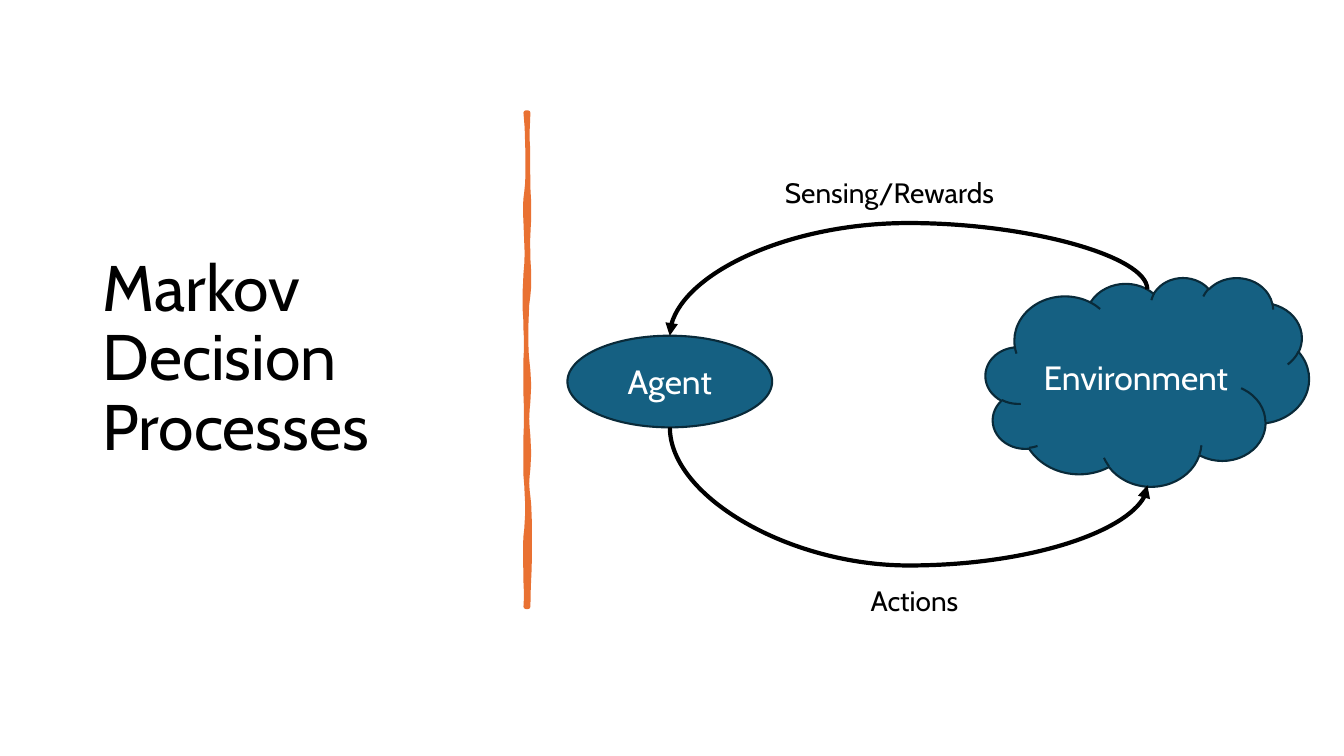
from lxml import etree
from pptx import Presentation
from pptx.dml.color import RGBColor
from pptx.enum.shapes import MSO_CONNECTOR, MSO_SHAPE
from pptx.enum.text import MSO_ANCHOR, PP_ALIGN
from pptx.oxml.ns import qn
from pptx.util import Cm, Pt

CURVE = MSO_CONNECTOR.CURVE
ELLIPSE, CLOUD = MSO_SHAPE.OVAL, MSO_SHAPE.CLOUD
MIDDLE = MSO_ANCHOR.MIDDLE
LEFT, CENTER = PP_ALIGN.LEFT, PP_ALIGN.CENTER
FONT = "Cabin"
COLORS = {"text": "000000", "light": "FFFFFF", "rule": "E97132",
          "node": "156082", "outline": "092A39", "arrow": "000000"}

# Connection sites as each preset numbers them
AGENT_TOP, AGENT_BOTTOM = 0, 4
CLOUD_TOP, CLOUD_BOTTOM = 3, 1

# Hand-drawn rule: cubic curves (two controls, end) in 1/100 inch
RULE_START = (1, 0)
RULE_CURVES = [
    ((0, 30), (1, 37), (1, 65)), ((2, 94), (3, 95), (1, 121)),
    ((0, 147), (4, 157), (1, 181)), ((-2, 205), (-1, 238), (1, 256)),
    ((4, 274), (-2, 298), (1, 321)), ((4, 344), (-2, 364), (1, 381)),
    ((4, 399), (3, 439), (1, 490)), ((0, 490), (0, 490), (-1, 490)),
    ((0, 472), (-3, 441), (-1, 420)), ((1, 400), (1, 388), (-1, 360)),
    ((-2, 332), (0, 310), (-1, 280)), ((-2, 251), (0, 235), (-1, 215)),
    ((-2, 195), (-3, 185), (-1, 160)), ((2, 135), (-3, 100), (-1, 85)),
    ((1, 70), (2, 40), (-1, 0)),
]
STEPS = 8
UNITS = 2.54  # 1/100 cm in 1/100 inch


def color(name):
    return RGBColor.from_string(COLORS[name])


def write(frame, text, size, ink, align=LEFT):
    frame.text = text
    para = frame.paragraphs[0]
    para.alignment = align
    font = para.runs[0].font
    font.name, font.size = FONT, Pt(size)
    font.color.rgb = color(ink)
    return para


def paint(shape, fill, line, width):
    shape.shadow.inherit = False
    shape.fill.solid()
    shape.fill.fore_color.rgb = color(fill)
    shape.line.color.rgb = color(line)
    shape.line.width = Pt(width)


def add_title(page, left, top, width, height):
    box = page.shapes.add_textbox(Cm(left), Cm(top), Cm(width), Cm(height))
    frame = box.text_frame
    frame.word_wrap = True
    frame.vertical_anchor = MIDDLE
    write(frame, "Markov Decision Processes", 46, "text").line_spacing = 0.9


def add_rule(page, center, top):
    points, start = [], RULE_START
    for curve in RULE_CURVES:
        for step in range(1, STEPS + 1):
            t = step / STEPS
            weights = ((1 - t) ** 3, 3 * t * (1 - t) ** 2, 3 * t * t * (1 - t), t ** 3)
            knots = (start, *curve)
            points.append(tuple(UNITS * sum(w * knot[axis] for w, knot in zip(weights, knots))
                                for axis in (0, 1)))
        start = curve[-1]
    builder = page.shapes.build_freeform(
        *(UNITS * value for value in RULE_START), scale=float(Cm(0.01)))
    builder.add_line_segments(points, close=True)
    paint(builder.convert_to_shape(Cm(center), Cm(top)), "rule", "rule", 3.25)


def add_node(page, kind, text, left, top, width, height):
    node = page.shapes.add_shape(kind, Cm(left), Cm(top), Cm(width), Cm(height))
    paint(node, "node", "outline", 1.5)
    node.text_frame.vertical_anchor = MIDDLE
    write(node.text_frame, text, 24, "light", CENTER)
    return node


def add_label(page, text, left, top, width):
    box = page.shapes.add_textbox(Cm(left), Cm(top), Cm(width), Cm(1.11))
    box.text_frame.word_wrap = False
    write(box.text_frame, text, 20, "text")


def add_arc(page, source, target, start, end, peak):
    """Curved arrow that leaves and arrives vertically, turning at height peak."""
    center_x, center_y = (start[0] + end[0]) / 2, (start[1] + end[1]) / 2
    # Undo the quarter turn to get the unrotated corners
    corners = [int(value) for x, y in (start, end)
               for value in (center_x - (y - center_y), center_y + (x - center_x))]
    arc = page.shapes.add_connector(CURVE, *corners)
    arc.line.color.rgb = color("arrow")
    arc.line.width = Pt(3)
    properties = arc._element.spPr
    properties.find(qn("a:xfrm")).set("rot", str(270 * 60000))
    bend = round(100000 * (peak - start[1]) / (end[1] - start[1]))
    guides = properties.find(qn("a:prstGeom")).find(qn("a:avLst"))
    etree.SubElement(guides, qn("a:gd"), name="adj1", fmla=f"val {bend}")
    etree.SubElement(properties.find(qn("a:ln")), qn("a:tailEnd"), type="triangle")
    etree.SubElement(properties, qn("a:effectLst"))
    # Join both ends to their nodes
    joints = arc._element.nvCxnSpPr.cNvCxnSpPr
    for tag, (node, site) in (("a:stCxn", source), ("a:endCxn", target)):
        etree.SubElement(joints, qn(tag), id=str(node.shape_id), idx=str(site))


def add_loop(page, left, top):
    agent = add_node(page, ELLIPSE, "Agent", left, top + 4.17, 5.16, 2.31)
    cloud = add_node(page, CLOUD, "Environment", left + 10.54, top + 2.7, 8.15, 5.26)
    agent_x = agent.left + agent.width // 2
    cloud_x = cloud.left + cloud.width // 2
    add_arc(page, (cloud, CLOUD_TOP), (agent, AGENT_TOP),
            (cloud_x, cloud.top + Cm(0.3)), (agent_x, agent.top), Cm(top + 1.33))
    add_arc(page, (agent, AGENT_BOTTOM), (cloud, CLOUD_BOTTOM),
            (agent_x, agent.top + agent.height),
            (cloud_x, cloud.top + cloud.height - Cm(0.02)), Cm(top + 9.96))
    add_label(page, "Sensing/Rewards", left + 5.23, top, 5.84)
    add_label(page, "Actions", left + 7.39, top + 10.29, 2.84)


def main():
    deck = Presentation()
    deck.slide_width, deck.slide_height = Cm(33.87), Cm(19.05)
    page = deck.slides.add_slide(deck.slide_layouts[6])
    add_title(page, 2.34, 1.52, 10.01, 15.09)
    add_rule(page, 13.28, 2.84)
    add_loop(page, 14.3, 4.29)
    deck.save("out.pptx")


if __name__ == "__main__":
    main()
